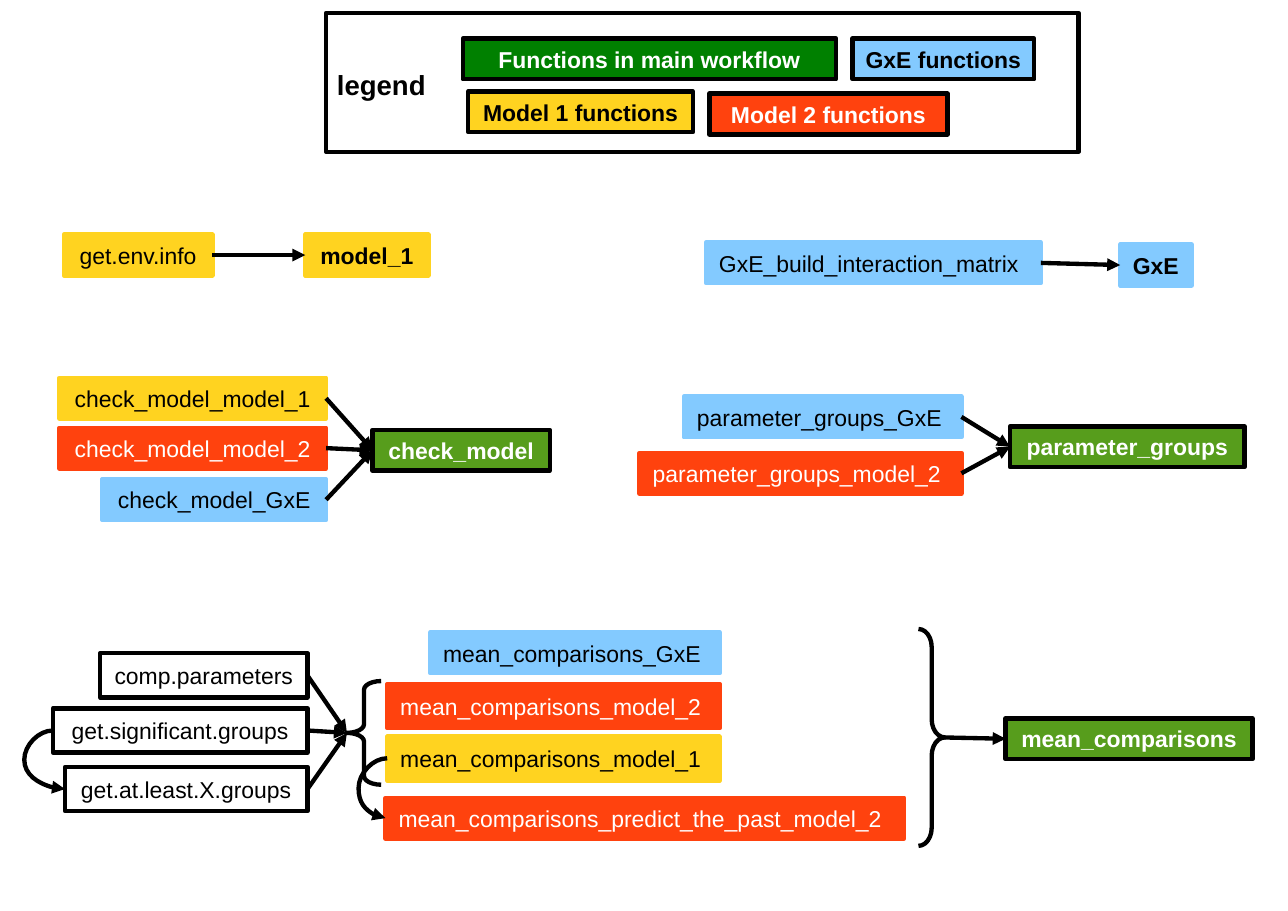
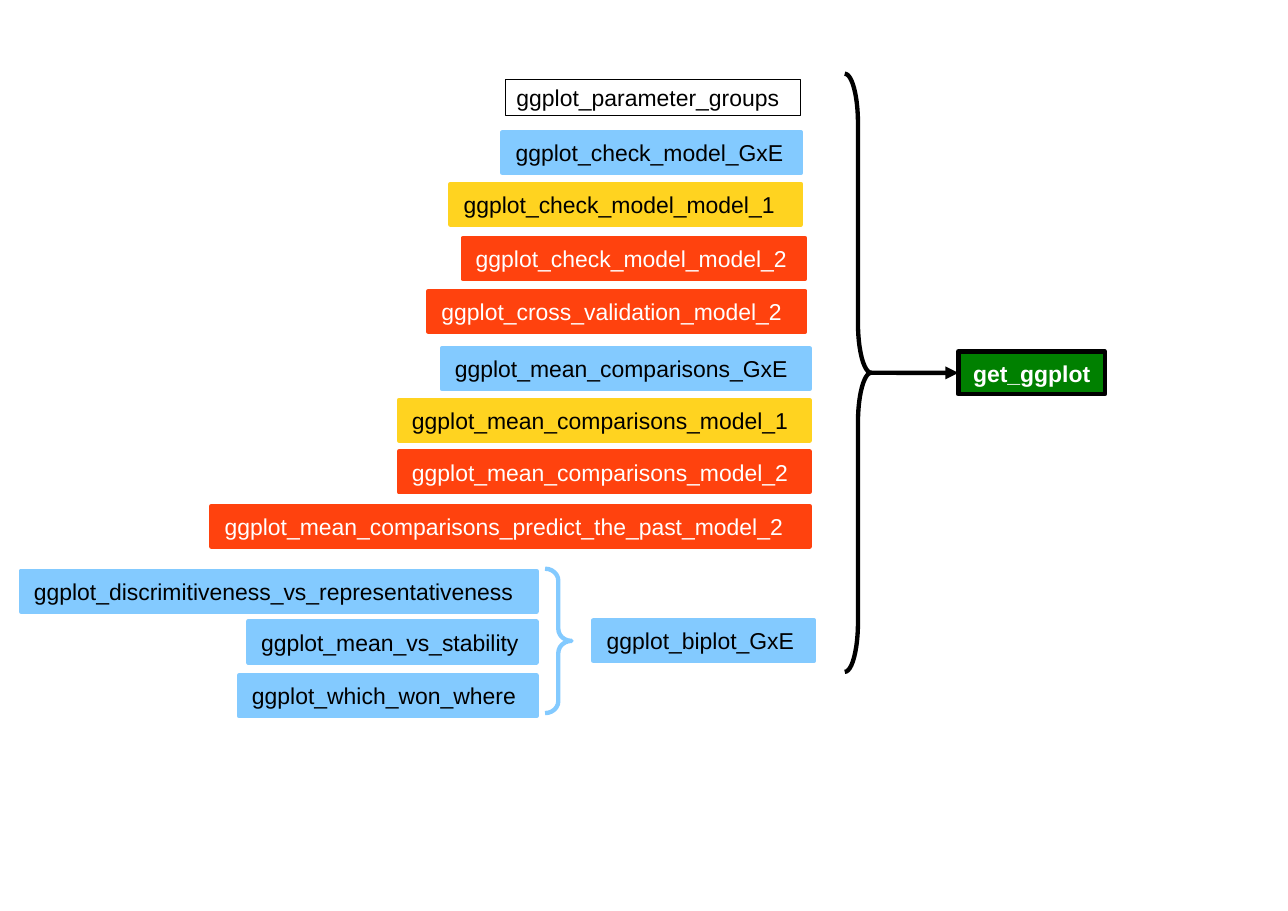
"""Draw the function maps of the workflow: main steps and plotting."""
import lxml.etree
import pptx
import pptx.dml.color
import pptx.enum.shapes
import pptx.enum.text
import pptx.oxml.ns
import pptx.util

Cm = pptx.util.Cm
RGB = pptx.dml.color.RGBColor
SHAPE = pptx.enum.shapes.MSO_SHAPE
LINK = pptx.enum.shapes.MSO_CONNECTOR
ALIGN = pptx.enum.text.PP_ALIGN
qn = pptx.oxml.ns.qn

BLACK = RGB(0x00, 0x00, 0x00)
WHITE = RGB(0xFF, 0xFF, 0xFF)
GOLD = RGB(0xFF, 0xD3, 0x20)
RED = RGB(0xFF, 0x42, 0x0E)
BLUE = RGB(0x83, 0xCA, 0xFF)
GREEN = RGB(0x57, 0x9D, 0x1C)
DARK = RGB(0x00, 0x80, 0x00)

LEFT, RIGHT = 1, 3


class Deck:
    font = "Arial"
    size = 15
    stroke = 2.83
    bend = Cm(0.66)

    def __init__(self):
        self.file = pptx.Presentation()
        self.file.slide_width = Cm(29.7)
        self.file.slide_height = Cm(21)
        self.slide = None

    def page(self):
        self.slide = self.file.slides.add_slide(self.file.slide_layouts[6])

    def words(self, frame, text, ink, bold, align, size):
        para = frame.paragraphs[0]
        para.alignment = align
        run = para.add_run()
        run.text = text
        run.font.name = self.font
        run.font.size = pptx.util.Pt(size)
        run.font.bold = bold
        run.font.color.rgb = ink

    def outline(self, shape, color, width):
        shape.line.color.rgb = color
        shape.line.width = pptx.util.Pt(width)

    def frame(self, left, top, width, height, fill=None, edge=None, stroke=None):
        shape = self.slide.shapes.add_shape(
            SHAPE.RECTANGLE, Cm(left), Cm(top), Cm(width), Cm(height))
        shape.shadow.inherit = False
        if fill is None:
            shape.fill.background()
        else:
            shape.fill.solid()
            shape.fill.fore_color.rgb = fill
        self.outline(shape, edge or fill or BLACK,
                     self.stroke if stroke is None else stroke)
        return shape

    def box(self, text, left, top, width, fill=None, height=0.94, edge=None,
            bold=False, align=ALIGN.CENTER, pad=0.3, stroke=None):
        shape = self.frame(left, top, width, height, fill, edge, stroke)
        body = shape.text_frame
        body.word_wrap = align == ALIGN.LEFT
        body.vertical_anchor = pptx.enum.text.MSO_ANCHOR.MIDDLE
        body.margin_left = body.margin_right = Cm(pad)
        body.margin_top = body.margin_bottom = Cm(0.13)
        ink = WHITE if fill in (RED, GREEN, DARK) else BLACK
        self.words(body, text, ink, bold, align, self.size)
        return shape

    def main(self, text, left, top, width, fill=GREEN, height=0.94):
        return self.box(text, left, top, width, fill, height, BLACK, True)

    def stack(self, right, rows, **style):
        return [self.box(text, right - width, top, width, fill, **style)
                for text, top, width, fill in rows]

    def label(self, text, left, top, width, height, size):
        area = self.slide.shapes.add_textbox(
            Cm(left), Cm(top), Cm(width), Cm(height))
        area.text_frame.word_wrap = True
        self.words(area.text_frame, text, BLACK, True, ALIGN.LEFT, size)

    def brace(self, kind, left, top, width, height, color=BLACK):
        shape = self.slide.shapes.add_shape(
            kind, Cm(left), Cm(top), Cm(width), Cm(height))
        shape.shadow.inherit = False
        shape.fill.background()
        shape.adjustments[0] = height / 12 / width
        self.outline(shape, color, self.stroke)
        tip = left + width if kind == SHAPE.RIGHT_BRACE else left
        return Cm(tip), Cm(top + height / 2)

    def spot(self, end, side):
        if isinstance(end, tuple):
            return end
        across = end.width if side == RIGHT else 0
        return end.left + across, end.top + end.height // 2

    def arrow(self, start, end, side=RIGHT, kind=LINK.STRAIGHT):
        first, last = self.spot(start, side), self.spot(end, LEFT)
        line = self.slide.shapes.add_connector(kind, *first, *last)
        if not isinstance(start, tuple):
            line.begin_connect(start, side)
        if not isinstance(end, tuple):
            line.end_connect(end, LEFT)
        self.outline(line, BLACK, self.stroke)
        props = line.element.spPr
        lxml.etree.SubElement(props.find(qn("a:ln")), qn("a:tailEnd"),
                              type="triangle")
        lxml.etree.SubElement(props, qn("a:effectLst"))
        return line

    def curve(self, start, end):
        line = self.arrow(start, end, LEFT, LINK.CURVE)
        ratio = round(-self.bend / (line.end_x - line.begin_x) * 100000)
        geom = line.element.spPr.find(qn("a:prstGeom"))
        guides = geom.find(qn("a:avLst"))
        if guides is None:
            guides = lxml.etree.SubElement(geom, qn("a:avLst"))
        lxml.etree.SubElement(guides, qn("a:gd"), name="adj1",
                              fmla=f"val {ratio}")


def legend(deck):
    deck.frame(7.52, 0.3, 17.35, 3.2)
    deck.label("legend", 7.52, 1.45, 3, 0.97, 18)
    for text, left, top, width, fill in (
            ("Functions in main workflow", 10.67, 0.89, 8.61, DARK),
            ("GxE functions", 19.66, 0.89, 4.19, BLUE),
            ("Model 1 functions", 10.8, 2.11, 5.18, GOLD),
            ("Model 2 functions", 16.36, 2.16, 5.49, RED)):
        deck.main(text, left, top, width, fill)


def models(deck):
    info = deck.box("get.env.info", 1.47, 5.41, 3.43, GOLD)
    model = deck.box("model_1", 7.04, 5.41, 2.84, GOLD, bold=True)
    deck.arrow(info, model)
    matrix = deck.box("GxE_build_interaction_matrix", 16.28, 5.59, 7.72, BLUE,
                      align=ALIGN.LEFT)
    deck.arrow(matrix, deck.box("GxE", 25.83, 5.64, 1.65, BLUE, bold=True))


def checks(deck):
    check = deck.main("check_model", 8.59, 9.91, 4.09)
    for item in deck.stack(7.52, (
            ("check_model_model_1", 8.71, 6.15, GOLD),
            ("check_model_model_2", 9.86, 6.15, RED),
            ("check_model_GxE", 11.05, 5.16, BLUE))):
        deck.arrow(item, check)
    groups = deck.main("parameter_groups", 23.29, 9.83, 5.41)
    for item in deck.stack(22.17, (
            ("parameter_groups_GxE", 9.14, 6.4, BLUE),
            ("parameter_groups_model_2", 10.44, 7.42, RED)), align=ALIGN.LEFT):
        deck.arrow(item, groups)


def means(deck):
    tools = deck.stack(7.09, (
        ("comp.parameters", 15.06, 4.78, None),
        ("get.significant.groups", 16.33, 5.87, None),
        ("get.at.least.X.groups", 17.68, 5.59, None)), height=1.02)
    deck.stack(16.6, (("mean_comparisons_GxE", 14.58, 6.68, BLUE),),
               align=ALIGN.LEFT)
    first = deck.stack(16.6, (
        ("mean_comparisons_model_2", 15.77, 7.67, RED),
        ("mean_comparisons_model_1", 16.97, 7.67, GOLD)),
        height=1.02, align=ALIGN.LEFT)[-1]
    past = deck.box("mean_comparisons_predict_the_past_model_2",
                    8.89, 18.39, 11.96, RED, align=ALIGN.LEFT)
    tip = deck.brace(SHAPE.LEFT_BRACE, 8, 15.7, 0.79, 2.39)
    for tool in tools:
        deck.arrow(tool, tip)
    deck.curve(tools[1], tools[2])
    deck.curve(first, past)
    tip = deck.brace(SHAPE.RIGHT_BRACE, 21.18, 14.5, 0.61, 5)
    deck.arrow(tip, deck.main("mean_comparisons", 23.19, 16.56, 5.69))


def plots(deck):
    deck.stack(18.47, (("ggplot_parameter_groups", 1.83, 6.81, None),),
               height=0.84, align=ALIGN.LEFT, pad=0.25, stroke=0)
    for right, rows in (
            (18.47, (
                ("ggplot_check_model_GxE", 3.05, 6.88, BLUE),
                ("ggplot_check_model_model_1", 4.24, 8.08, GOLD))),
            (18.57, (
                ("ggplot_check_model_model_2", 5.49, 7.9, RED),
                ("ggplot_cross_validation_model_2", 6.71, 8.69, RED))),
            (18.67, (
                ("ggplot_mean_comparisons_GxE", 8.03, 8.48, BLUE),
                ("ggplot_mean_comparisons_model_1", 9.22, 9.47, GOLD),
                ("ggplot_mean_comparisons_model_2", 10.41, 9.47, RED),
                ("ggplot_mean_comparisons_predict_the_past_model_2",
                 11.66, 13.79, RED))),
            (18.77, (("ggplot_biplot_GxE", 14.3, 5.08, BLUE),)),
            (12.37, (
                ("ggplot_discrimitiveness_vs_representativeness",
                 13.16, 11.89, BLUE),
                ("ggplot_mean_vs_stability", 14.33, 6.65, BLUE),
                ("ggplot_which_won_where", 15.57, 6.86, BLUE)))):
        deck.stack(right, rows, align=ALIGN.LEFT)
    deck.brace(SHAPE.RIGHT_BRACE, 12.57, 13.11, 0.61, 3.33, BLUE)
    tip = deck.brace(SHAPE.RIGHT_BRACE, 19.48, 1.7, 0.61, 13.79)
    deck.arrow(tip, deck.main("get_ggplot", 22.1, 8.1, 3.38, DARK, 0.99))


def main():
    deck = Deck()
    deck.page()
    for part in (legend, models, checks, means):
        part(deck)
    deck.page()
    plots(deck)
    deck.file.save("out.pptx")


if __name__ == "__main__":
    main()
